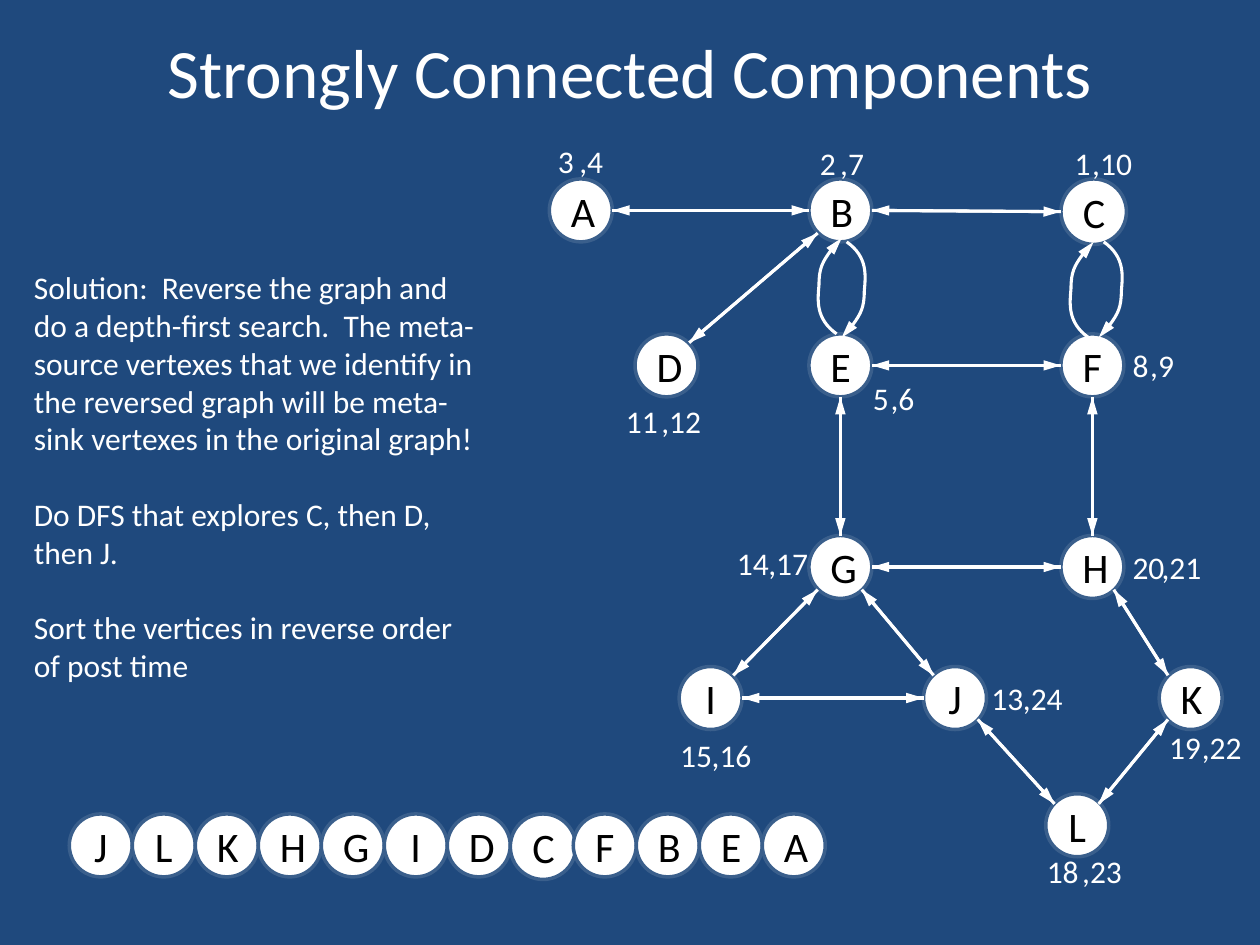
"""Build the slide on strongly connected components and its depth-first search graph."""
from lxml.etree import SubElement
from pptx import Presentation
from pptx.dml.color import RGBColor
from pptx.enum.shapes import MSO_CONNECTOR as CONNECTOR, MSO_SHAPE as SHAPE
from pptx.enum.text import MSO_ANCHOR as ANCHOR, PP_ALIGN as ALIGN
from pptx.oxml.ns import qn
from pptx.util import Inches, Pt

COLORS = {"background": "1F497D", "white": "FFFFFF", "ring": "3A5F8C", "letter": "000000"}
RGB = {name: RGBColor.from_string(value) for name, value in COLORS.items()}


def write(frame, paragraphs, size, color, align=ALIGN.LEFT, gap=0):
    for index, text in enumerate(paragraphs):
        paragraph = frame.paragraphs[0] if index == 0 else frame.add_paragraph()
        paragraph.text = text
        paragraph.alignment = align
        paragraph.space_after = Pt(gap)
        font_format = {"name": "Calibri", "size": Pt(size)}
        for attribute, value in font_format.items():
            setattr(paragraph.font, attribute, value)
        paragraph.font.color.rgb = RGB[color]


def style_arrow(arrow, end):
    arrow.line.color.rgb = RGB["white"]
    arrow.line.width = Pt(1.75)
    SubElement(arrow.line._get_or_add_ln(), qn(f"a:{end}"), type="triangle", w="med", len="lg")
    SubElement(arrow._element.spPr, qn("a:effectLst"))


deck = Presentation()
deck.slide_width, deck.slide_height = Inches(10), Inches(7.5)
slide = deck.slides.add_slide(deck.slide_layouts[6])
slide.background.fill.solid()
slide.background.fill.fore_color.rgb = RGB["background"]
shapes = slide.shapes

title = shapes.add_textbox(Inches(0.5), Inches(0.17), Inches(9), Inches(0.78)).text_frame
title.word_wrap = True
title.vertical_anchor = ANCHOR.MIDDLE
write(title, ["Strongly Connected Components"], 39.6, "white", ALIGN.CENTER)

solution = shapes.add_textbox(Inches(0.17), Inches(2.08), Inches(3.78), Inches(3.74)).text_frame
solution.word_wrap = True
write(solution, [
    "Solution:  Reverse the graph and do a depth-first search.  The meta-source vertexes "
    "that we identify in the reversed graph will be meta-sink vertexes in the original graph!",
    "Do DFS that explores C, then D, then J.",
    "Sort the vertices in reverse order of post time",
], 18, "white", gap=21.6)

graph_vertices = [
    ("A", 4.36, 1.42), ("B", 6.42, 1.42), ("C", 8.42, 1.42),
    ("D", 5.04, 2.65), ("E", 6.42, 2.65), ("F", 8.42, 2.65),
    ("G", 6.42, 4.25), ("H", 8.42, 4.25),
    ("I", 5.39, 5.29), ("J", 7.33, 5.29), ("K", 9.2, 5.29), ("L", 8.3, 6.3),
]
sorted_vertices = [(letter, 0.55 + 0.5 * place, 6.46) for place, letter in enumerate("JLKHGIDCFBEA")]
for letter, left, top in graph_vertices + sorted_vertices:
    diameter = Inches(0.52 if letter == "C" else 0.5)
    vertex = shapes.add_shape(SHAPE.OVAL, Inches(left), Inches(top), diameter, diameter)
    vertex.shadow.inherit = False
    vertex.fill.solid()
    vertex.fill.fore_color.rgb = RGB["white"]
    vertex.line.color.rgb = RGB["ring"]
    vertex.line.width = Pt(2)
    vertex.text_frame.vertical_anchor = ANCHOR.MIDDLE
    write(vertex.text_frame, [letter], 24, "letter", ALIGN.CENTER)

visit_times = [
    ("14", 5.75, ",17", 6.0, 4.27), ("8", 8.89, ",9", 9.03, 2.7), ("5", 6.83, ",6", 6.97, 2.96),
    ("1", 8.43, ",10", 8.57, 1.09), ("11", 4.87, ",12", 5.15, 3.14), ("2", 6.41, ",7", 6.57, 1.09),
    ("3", 4.33, ",4", 4.5, 1.08), ("20", 8.89, ",21", 9.12, 4.3), ("15", 5.3, ",16", 5.55, 5.79),
    ("13", 7.77, ",24", 8.02, 5.34), ("19", 9.18, ",22", 9.44, 5.73), ("18", 8.21, ",23", 8.49, 6.71),
]
time_widths = {"1": 0.33, "2": 0.46, ",1": 0.39, ",2": 0.52}
for pre, pre_left, post, post_left, top in visit_times:
    for time, left in ((pre, pre_left), (post, post_left)):
        width = time_widths[("," if time == post else "") + str(len(time.strip(",")))]
        label = shapes.add_textbox(Inches(left), Inches(top), Inches(width), Inches(0.4)).text_frame
        label.word_wrap = False
        write(label, [time], 18, "white")

edges = [
    (4.86, 1.67, 6.42, 1.67), (6.92, 1.67, 8.42, 1.68), (6.49, 1.85, 5.47, 2.72),
    (8.42, 2.9, 6.92, 2.9), (6.67, 3.15, 6.67, 4.25), (8.67, 3.15, 8.67, 4.25),
    (8.42, 4.5, 6.92, 4.5), (6.49, 4.68, 5.82, 5.36), (7.41, 5.36, 6.84, 4.68),
    (5.89, 5.54, 7.33, 5.54), (8.84, 4.68, 9.27, 5.36), (7.76, 5.71, 8.37, 6.38),
    (9.27, 5.71, 8.72, 6.38),
]
for end in ("tailEnd", "headEnd"):
    for edge in edges:
        style_arrow(shapes.add_connector(CONNECTOR.STRAIGHT, *map(Inches, edge)), end)

bend = [(0.17, 0.12), (0.15, 0.27), (0.14, 0.39), (0.14, 0.52), (0.09, 0.63), (-0.04, 0.76)]
for x, y, turn in ((6.72, 1.92, 1), (8.76, 1.92, 1), (6.64, 2.65, -1), (8.64, 2.68, -1)):
    outline = shapes.build_freeform(Inches(x), Inches(y))
    outline.add_line_segments(
        [(Inches(x + turn * dx), Inches(y + turn * dy)) for dx, dy in bend], close=False)
    arc = outline.convert_to_shape()
    arc.fill.background()
    segments = list(arc._element.iter(qn("a:lnTo")))
    for first in (0, 3):
        curve = SubElement(segments[0].getparent(), qn("a:cubicBezTo"))
        for segment in segments[first:first + 3]:
            curve.append(segment[0])
    for segment in segments:
        segment.getparent().remove(segment)
    style_arrow(arc, "tailEnd")

deck.save("out.pptx")
